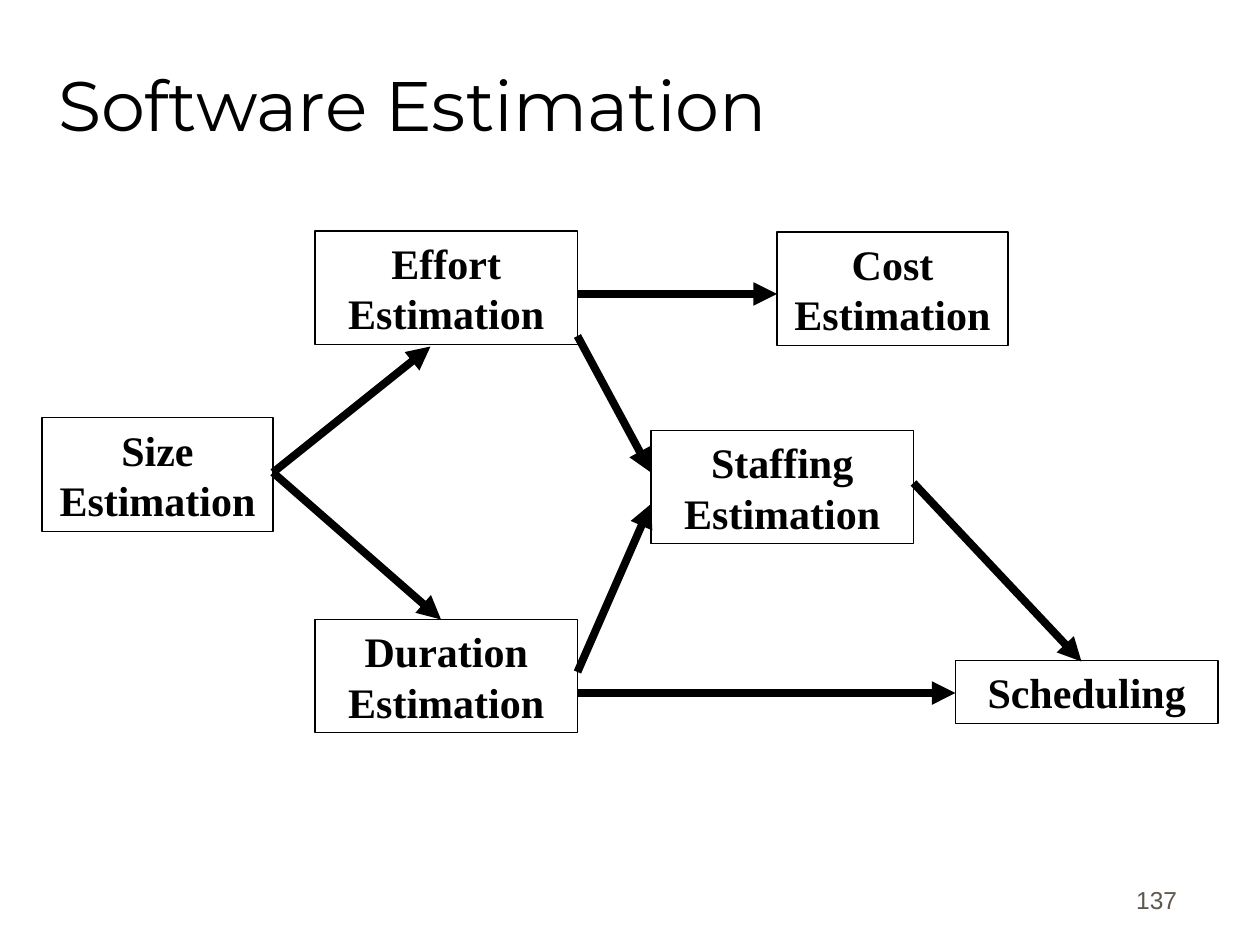
from pptx import Presentation
from pptx.dml.color import RGBColor
from pptx.enum.shapes import MSO_CONNECTOR, MSO_SHAPE
from pptx.enum.text import MSO_ANCHOR, MSO_AUTO_SIZE, PP_ALIGN
from pptx.oxml.ns import qn
from pptx.util import Inches, Pt
from lxml import etree

RECTANGLE = MSO_SHAPE.RECTANGLE
STRAIGHT = MSO_CONNECTOR.STRAIGHT
LEFT, CENTER, RIGHT = PP_ALIGN.LEFT, PP_ALIGN.CENTER, PP_ALIGN.RIGHT
MIDDLE, TOP, BOTTOM = MSO_ANCHOR.MIDDLE, MSO_ANCHOR.TOP, MSO_ANCHOR.BOTTOM
GROW, FIXED = MSO_AUTO_SIZE.SHAPE_TO_FIT_TEXT, MSO_AUTO_SIZE.NONE
TITLE_ONLY = 5
COLUMNS, ROWS = 120, 90


def color(value):
    return RGBColor.from_string(value)


class Diagram:
    """Style and current slide; lengths are columns and rows of the grid."""

    ink = "000000"
    muted = "5E574E"

    def __init__(self, presentation):
        self.slide = presentation.slides.add_slide(presentation.slide_layouts[TITLE_ONLY])
        self.column = presentation.slide_width / COLUMNS
        self.row = presentation.slide_height / ROWS

    def place(self, *lengths):
        units = (self.column, self.row) * 2
        return [round(length * unit) for length, unit in zip(lengths, units)]

    def set_text(self, shape, text, font, size, ink, align, anchor, auto_size=FIXED, bold=False):
        frame = shape.text_frame
        frame.text = text
        frame.word_wrap = True
        frame.auto_size = auto_size
        frame.vertical_anchor = anchor
        paragraph = frame.paragraphs[0]
        paragraph.alignment = align
        paragraph.space_before = Pt(0)
        run_font = paragraph.runs[0].font
        run_font.name, run_font.size, run_font.bold = font, Pt(size), bold
        run_font.color.rgb = color(ink)

    def title(self, text, *area):
        shape = self.slide.shapes.title
        shape.left, shape.top, shape.width, shape.height = self.place(*area)
        shape.text_frame.margin_left = shape.text_frame.margin_right = Inches(0.02)
        self.set_text(shape, text, "Montserrat", 40, self.ink, LEFT, MIDDLE)

    def page_number(self, text, *area):
        shape = self.slide.shapes.add_textbox(*self.place(*area))
        self.set_text(shape, text, "Arial", 14, self.muted, RIGHT, BOTTOM)

    def box(self, text, *area):
        shape = self.slide.shapes.add_shape(RECTANGLE, *self.place(*area))
        shape.shadow.inherit = False
        shape.fill.background()
        shape.line.color.rgb = color(self.ink)
        shape.line.width = Pt(0.75)
        self.set_text(shape, text, "Times New Roman", 24, self.ink, CENTER, TOP, GROW, True)

    def arrow(self, *ends):
        connector = self.slide.shapes.add_connector(STRAIGHT, *self.place(*ends))
        connector.line.color.rgb = color(self.ink)
        connector.line.width = Pt(4.5)
        properties = connector._element.spPr
        etree.SubElement(properties.find(qn("a:ln")), qn("a:tailEnd"), type="triangle")
        etree.SubElement(properties, qn("a:effectLst"))


def main():
    presentation = Presentation()
    presentation.slide_width, presentation.slide_height = Inches(10), Inches(7.5)
    diagram = Diagram(presentation)

    # Title and page number
    diagram.title("Software Estimation", 5.3, 2.4, 102, 15)
    diagram.page_number("137", 88.3, 81.7, 25, 6)

    # Estimation steps: left, top, width, height
    narrow, wide, two_lines, one_line = 22, 25, 10.8, 6
    diagram.box("Size Estimation", 4, 39.8, narrow, two_lines)
    diagram.box("Effort Estimation", 30, 22, wide, two_lines)
    diagram.box("Cost Estimation", 74, 22.1, narrow, two_lines)
    diagram.box("Duration Estimation", 30, 59, wide, two_lines)
    diagram.box("Staffing Estimation", 62, 41, wide, two_lines)
    diagram.box("Scheduling", 91, 62.9, wide, one_line)

    # Arrows between the steps: start and end points
    for ends in (
        (26, 45, 41, 33),   # size to effort
        (26, 45, 42, 59),   # size to duration
        (55, 28, 74, 28),   # effort to cost
        (55, 32, 62, 45),   # effort to staffing
        (55, 64, 62, 48),   # duration to staffing
        (55, 66, 91, 66),   # duration to scheduling
        (87, 46, 103, 63),  # staffing to scheduling
    ):
        diagram.arrow(*ends)

    presentation.save("out.pptx")


if __name__ == "__main__":
    main()
